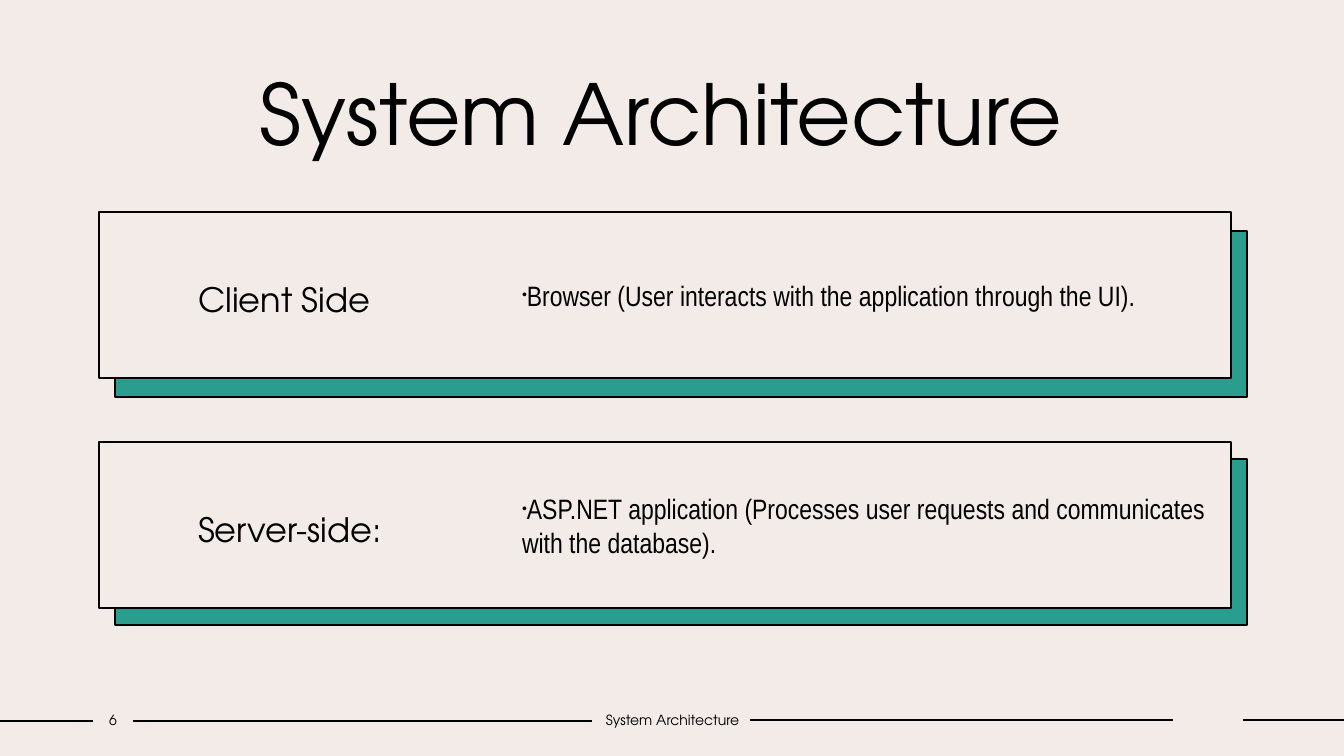
from lxml.etree import SubElement
from pptx import Presentation
from pptx.dml.color import RGBColor
from pptx.enum.shapes import MSO_CONNECTOR, MSO_SHAPE
from pptx.enum.text import MSO_ANCHOR, PP_ALIGN
from pptx.oxml.ns import qn
from pptx.util import Pt

EMU_PER_PX = 12192000 / 1344
INK, PAPER, TEAL = "000000", "F3EBE8", "2A9D8F"
HEADING_FONT, NOTE_FONT = "TeX Gyre Adventor", "Arial Narrow"
CARD_LEFT, CARD_TOP, CARD_WIDTH, CARD_HEIGHT = 99, 212, 1132, 166
CARD_PITCH, SHADE_PITCH = 230, 228
LAYERS = [
    ("Client Side", "Browser (User interacts with the application through the UI)."),
    ("Server-side:", "ASP.NET application (Processes user requests and "
                     "communicates with the database)."),
]
FOOTER_RULES = [(0, 93, 721), (133, 592, 721), (750, 1173, 720), (1243, 1344, 720)]


def px(length):
    return round(length * EMU_PER_PX)


def color(value):
    return RGBColor.from_string(value)


def apply(target, values):
    for key, value in values.items():
        setattr(target, key, value)


def write(holder, text, size, font=HEADING_FONT, insets=(10, 5, 10, 5),
          align=PP_ALIGN.LEFT, spacing=1.0):
    frame = holder.text_frame
    left, top, right, bottom = map(px, insets)
    apply(frame, {
        "word_wrap": True, "vertical_anchor": MSO_ANCHOR.MIDDLE,
        "margin_left": left, "margin_top": top,
        "margin_right": right, "margin_bottom": bottom,
    })
    paragraph = frame.paragraphs[0]
    apply(paragraph, {"alignment": align, "line_spacing": spacing})
    run = paragraph.add_run()
    run.text = text
    apply(run.font, {"name": font, "size": Pt(size)})
    run.font.color.rgb = color(INK)
    return paragraph


def add_text(slide, box, text, size, **style):
    return write(slide.shapes.add_textbox(*map(px, box)), text, size, **style)


def add_panel(slide, box, fill):
    panel = slide.shapes.add_shape(MSO_SHAPE.RECTANGLE, *map(px, box))
    panel.shadow.inherit = False
    panel.fill.solid()
    panel.fill.fore_color.rgb = color(fill)
    panel.line.color.rgb = color(INK)
    panel.line.width = Pt(2)
    return panel


def add_rule(slide, start, end, y):
    rule = slide.shapes.add_connector(
        MSO_CONNECTOR.STRAIGHT, px(start), px(y), px(end), px(y))
    rule.line.color.rgb = color(INK)
    rule.line.width = Pt(1)
    SubElement(rule._element.spPr, qn("a:effectLst"))


def add_bullet(paragraph):
    properties = paragraph._p.get_or_add_pPr()
    properties.set("marL", "0")
    properties.set("indent", str(px(-15)))
    SubElement(properties, qn("a:buSzPct"), val="50000")
    SubElement(properties, qn("a:buFont"), typeface="Arial")
    SubElement(properties, qn("a:buChar"), char="•")


def add_layer(slide, index, heading, note):
    top = CARD_TOP + index * CARD_PITCH
    card = add_panel(slide, (CARD_LEFT, top, CARD_WIDTH, CARD_HEIGHT), PAPER)
    write(card, heading, 24, insets=(99, 5, 716, 5), spacing=1.2)
    add_bullet(add_text(slide, (512, top + 10, 707, CARD_HEIGHT - 20),
                        note, 20, font=NOTE_FONT))


def main():
    presentation = Presentation()
    apply(presentation, {"slide_width": px(1344), "slide_height": px(756)})
    slide = presentation.slides.add_slide(presentation.slide_layouts[6])
    slide.background.fill.solid()
    slide.background.fill.fore_color.rgb = color(PAPER)

    for start, end, y in FOOTER_RULES:
        add_rule(slide, start, end, y)
    for index in range(len(LAYERS)):
        add_panel(slide, (CARD_LEFT + 16, CARD_TOP + 19 + index * SHADE_PITCH,
                          CARD_WIDTH, CARD_HEIGHT), TEAL)
    add_text(slide, (126, 56, 1093, 112), "System Architecture ", 60,
             align=PP_ALIGN.CENTER)
    for index, (heading, note) in enumerate(LAYERS):
        add_layer(slide, index, heading, note)
    for left, width, text in [(93, 40, "6"), (592, 161, "System Architecture")]:
        add_text(slide, (left, 706, width, 27), text, 10,
                 insets=(0, 5, 0, 5), align=PP_ALIGN.CENTER)

    presentation.save("out.pptx")


if __name__ == "__main__":
    main()
